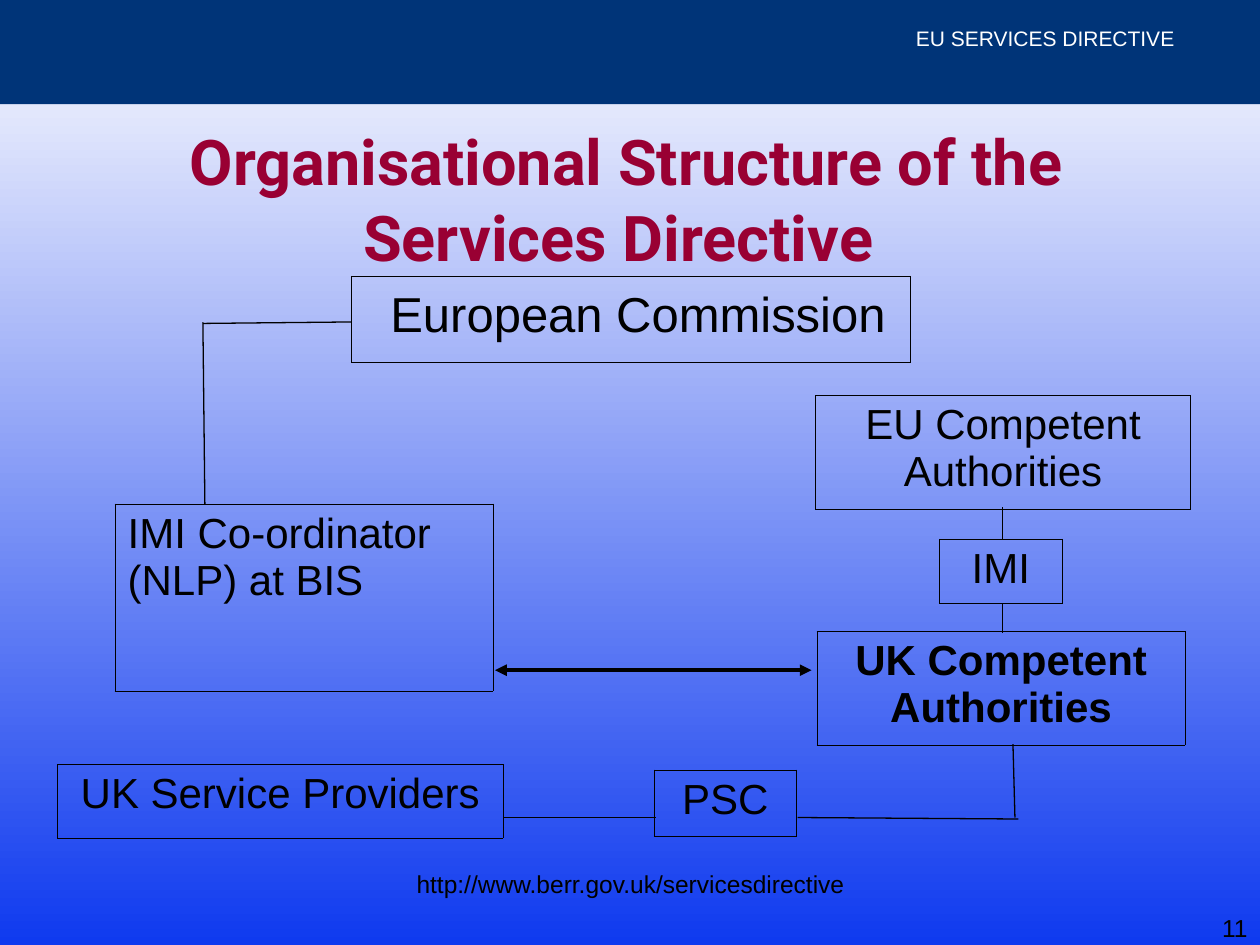
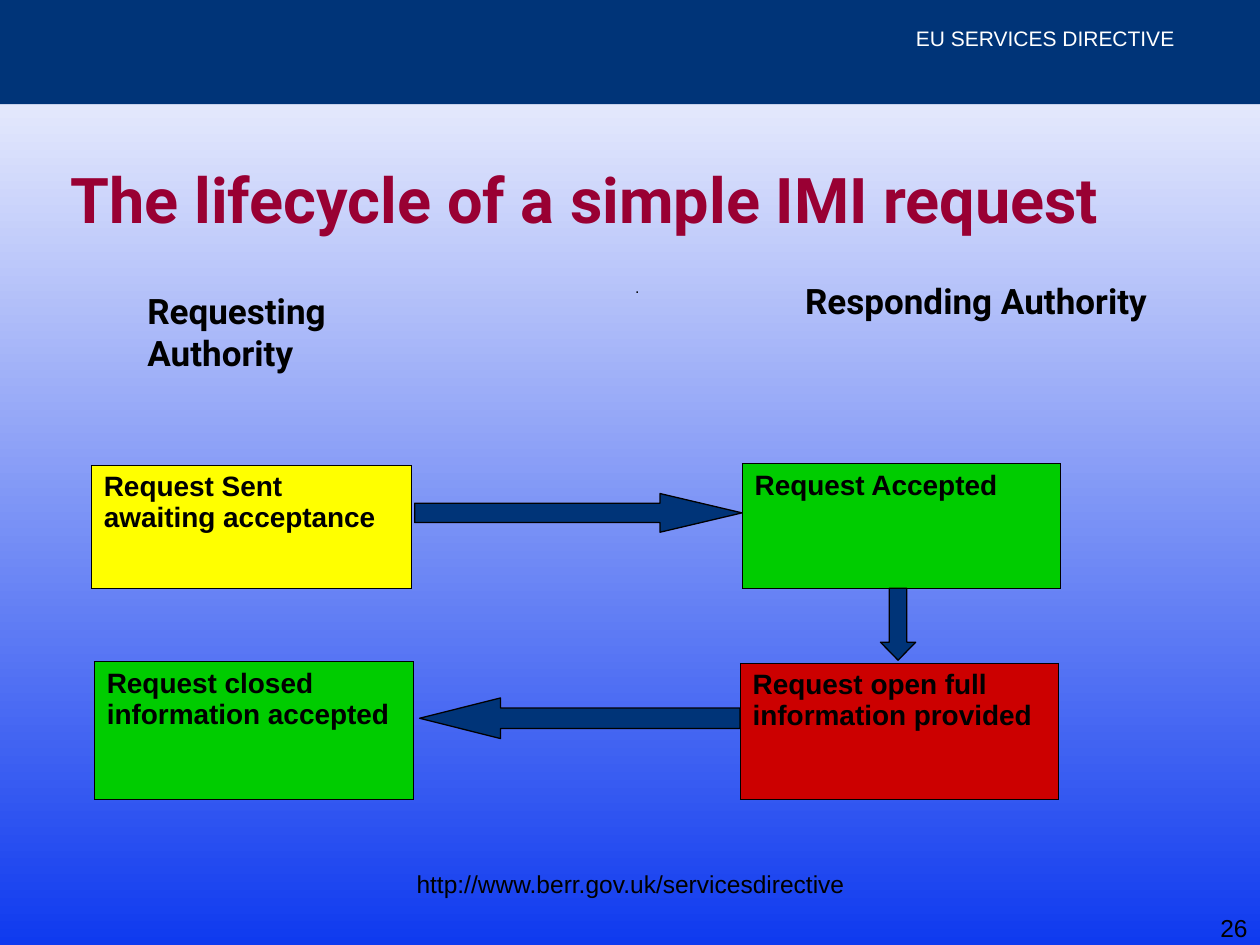
"""Build two slides on the structure and request lifecycle of the EU Services Directive."""
from lxml import etree
from pptx import Presentation
from pptx import util as u
from pptx.dml import color
from pptx.enum import shapes, text
from pptx.oxml import ns

NAVY, CRIMSON, BLACK, WHITE = "003478", "990033", "000000", "FFFFFF"
YELLOW, GREEN, RED = "FFFF00", "00CC00", "CC0000"
BACKDROP = ("FEFEFE", "0F3AEF")
BODY_FONT, HEAD_FONT = "Arial", "Roboto"
LEFT, CENTER, RIGHT = text.PP_ALIGN.LEFT, text.PP_ALIGN.CENTER, text.PP_ALIGN.RIGHT
SITE = "http://www.berr.gov.uk/servicesdirective"


def paint(target, code):
    """Give a colour format the hex colour."""
    target.rgb = color.RGBColor.from_string(code)


def fill_solid(fill, code):
    """Make a fill solid in the hex colour."""
    fill.solid()
    paint(fill.fore_color, code)


def place(left, top, width, height):
    """Turn centimetres into lengths."""
    return [u.Cm(value) for value in (left, top, width, height)]


def write(frame, words, size, align=LEFT, font=BODY_FONT, code=BLACK, bold=False):
    """Write one paragraph of one run into a text frame."""
    frame.word_wrap = True
    para = frame.paragraphs[0]
    para.alignment = align
    span = para.add_run()
    span.text = words
    span.font.size = u.Pt(size)
    span.font.name = font
    span.font.bold = bold
    paint(span.font.color, code)


def add_label(page, area, words, size, margins=(0.25, 0.13), **style):
    """Add a text box with side and top margins in centimetres."""
    frame = page.shapes.add_textbox(*place(*area)).text_frame
    frame.margin_left = frame.margin_right = u.Cm(margins[0])
    frame.margin_top = frame.margin_bottom = u.Cm(margins[1])
    write(frame, words, size, **style)


def add_page(deck, title, number, align):
    """Add a slide with the band, header, title, web address and number."""
    page = deck.slides.add_slide(deck.slide_layouts[5])
    band = page.shapes.add_shape(shapes.MSO_SHAPE.RECTANGLE, *place(0, 0, 25.4, 2.1))
    band.shadow.inherit = False
    fill_solid(band.fill, NAVY)
    band.line.fill.background()
    add_label(page, (9.28, 0.52, 14.4, 0.5), "EU SERVICES DIRECTIVE", 12,
              margins=(0, 0), align=RIGHT, code=WHITE)
    heading = page.shapes.title
    heading.left, heading.top, heading.width, heading.height = place(1.17, 2.5, 22.91, 3)
    heading.text_frame.auto_size = text.MSO_AUTO_SIZE.NONE
    heading.text_frame.vertical_anchor = text.MSO_ANCHOR.MIDDLE
    write(heading.text_frame, title, 36, align, HEAD_FONT, CRIMSON, True)
    add_label(page, (6.48, 17.39, 12.47, 0.66), SITE, 14, align=CENTER)
    add_label(page, (23.5, 18.27, 1.9, 0.66), number, 14, align=RIGHT)
    return page


def add_border(cell):
    """Draw a thin black line on all four sides of a cell."""
    properties = cell._tc.get_or_add_tcPr()
    for index, side in enumerate(("lnL", "lnR", "lnT", "lnB")):
        edge = etree.Element(ns.qn(f"a:{side}"), w=str(u.Pt(0.45)))
        solid = etree.SubElement(edge, ns.qn("a:solidFill"))
        etree.SubElement(solid, ns.qn("a:srgbClr"), val=BLACK)
        properties.insert(index, edge)


def add_cell_box(page, area, words="", size=24, fill=None, **style):
    """Add a bordered table of one cell, with words if any."""
    table = page.shapes.add_table(1, 1, *place(*area)).table
    table.first_row = table.horz_banding = False
    cell = table.cell(0, 0)
    if fill:
        fill_solid(cell.fill, fill)
    else:
        cell.fill.background()
    add_border(cell)
    if words:
        write(cell.text_frame, words, size, **style)


def add_line(page, start, end, width=0.75, arrows=False):
    """Add a straight black line, with arrowheads at both ends if wanted."""
    points = [u.Cm(value) for value in (*start, *end)]
    line = page.shapes.add_connector(shapes.MSO_CONNECTOR.STRAIGHT, *points)
    paint(line.line.color, BLACK)
    line.line.width = u.Pt(width)
    if arrows:
        for tip in ("headEnd", "tailEnd"):
            etree.SubElement(line.line._get_or_add_ln(), ns.qn(f"a:{tip}"), type="triangle")
    etree.SubElement(line._element.spPr, ns.qn("a:effectLst"))


def add_block_arrow(page, kind, area, head):
    """Add a navy block arrow with the given head length ratio."""
    arrow = page.shapes.add_shape(kind, *place(*area))
    arrow.shadow.inherit = False
    arrow.adjustments[0], arrow.adjustments[1] = 0.5, head
    fill_solid(arrow.fill, NAVY)
    paint(arrow.line.color, BLACK)
    arrow.line.width = u.Pt(0.75)


def build_structure(deck):
    """Build the organisation chart."""
    page = add_page(deck, "Organisational Structure of the Services Directive ", "11", CENTER)
    add_label(page, (7.36, 5.71, 11, 1.3), "European Commission", 28,
              margins=(0, 0), align=CENTER)
    add_cell_box(page, (7.09, 5.57, 11.27, 1.73))
    bodies = (
        ((2.32, 10.16, 7.62, 3.77), "IMI Co-ordinator (NLP) at BIS", LEFT, False),
        ((16.44, 7.97, 7.56, 2.3), "EU Competent Authorities", CENTER, False),
        ((18.94, 10.87, 2.47, 1.3), "IMI", CENTER, False),
        ((16.47, 12.73, 7.42, 2.29), "UK Competent Authorities", CENTER, True),
        ((1.16, 15.41, 8.98, 1.48), "UK Service Providers", CENTER, False),
        ((13.19, 15.52, 2.86, 1.34), "PSC", CENTER, False),
    )
    for area, name, align, bold in bodies:
        add_cell_box(page, area, name, align=align, bold=bold)
    links = (
        ((4.09, 6.52), (7.09, 6.49)), ((4.09, 6.5), (4.13, 10.16)),
        ((20.21, 10.23), (20.21, 10.87)), ((20.21, 12.17), (20.21, 12.77)),
        ((10.15, 16.48), (13.23, 16.48)),
        ((16.08, 16.48), (20.53, 16.51)), ((20.42, 15), (20.46, 16.48)),
    )
    for start, end in links:
        add_line(page, start, end)
    add_line(page, (9.98, 13.51), (16.36, 13.51), 2.25, arrows=True)


def build_lifecycle(deck):
    """Build the request lifecycle."""
    page = add_page(deck, "The lifecycle of a simple IMI request", "26", LEFT)
    add_label(page, (12.35, 5.6, 1, 0.4), ".", 9, margins=(0, 0), align=CENTER)
    for area, role in (((2.72, 5.7, 5.89, 1.96), "Requesting Authority"),
                       ((15.98, 5.51, 7.59, 1.96), "Responding Authority")):
        add_label(page, area, role, 20, font=HEAD_FONT, bold=True)
    stages = (
        ((1.84, 9.38, 6.45, 2.49), "Request Sent awaiting acceptance", YELLOW),
        ((14.96, 9.35, 6.42, 2.51), "Request Accepted", GREEN),
        ((14.92, 13.37, 6.42, 2.74), "Request open full information provided", RED),
        ((1.9, 13.34, 6.43, 2.78), "Request closed information accepted", GREEN),
    )
    for area, stage, fill in stages:
        add_cell_box(page, area, stage, 16, fill, bold=True)
    kinds = shapes.MSO_SHAPE
    add_block_arrow(page, kinds.RIGHT_ARROW, (8.36, 9.95, 6.6, 0.78), 2.12)
    add_block_arrow(page, kinds.DOWN_ARROW, (17.75, 11.86, 0.71, 1.45), 0.51)
    add_block_arrow(page, kinds.LEFT_ARROW, (8.46, 14.07, 6.46, 0.82), 1.99)


def main():
    """Set up the deck, build both slides and save."""
    deck = Presentation()
    deck.slide_width, deck.slide_height = u.Cm(25.4), u.Cm(19.05)
    backdrop = deck.slide_master.background.fill
    backdrop.gradient()
    backdrop.gradient_angle = 270
    for stop, position, code in zip(backdrop.gradient_stops, (0, 1), BACKDROP):
        stop.position = position
        paint(stop.color, code)
    build_structure(deck)
    build_lifecycle(deck)
    deck.save("out.pptx")


if __name__ == "__main__":
    main()
